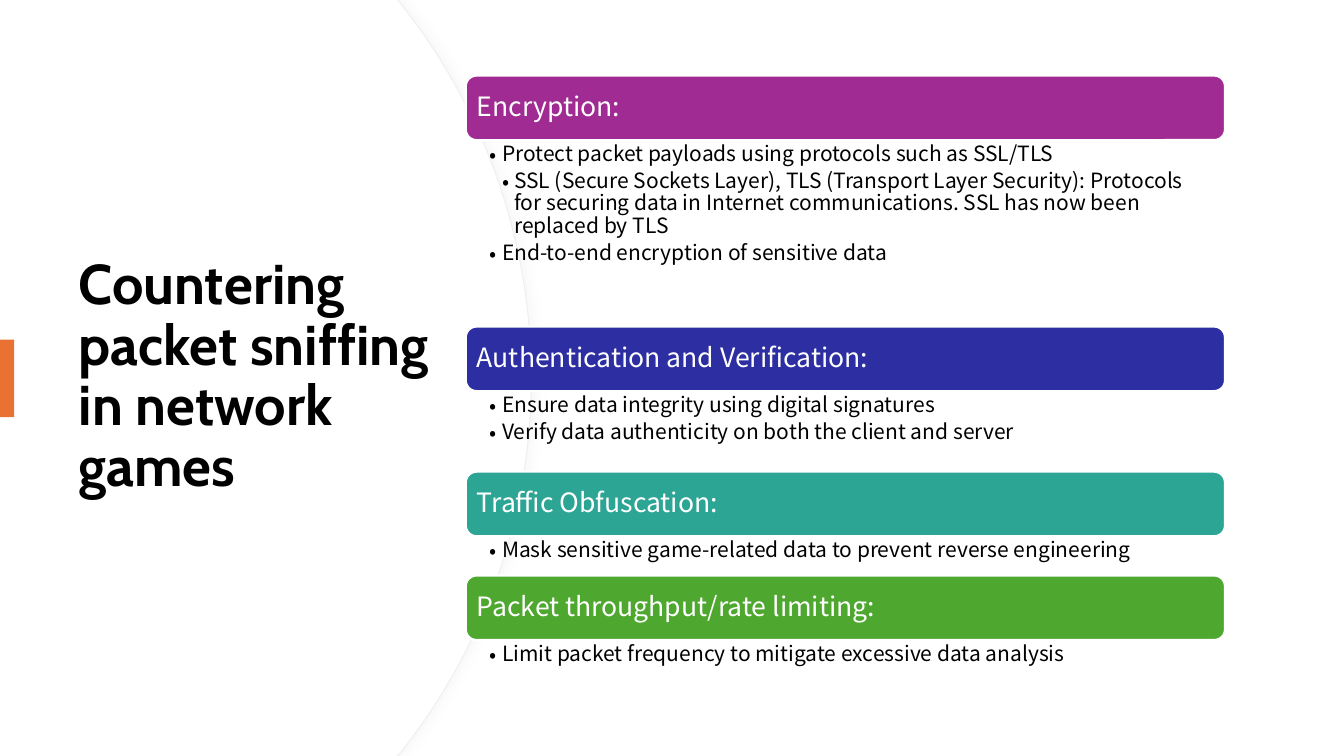
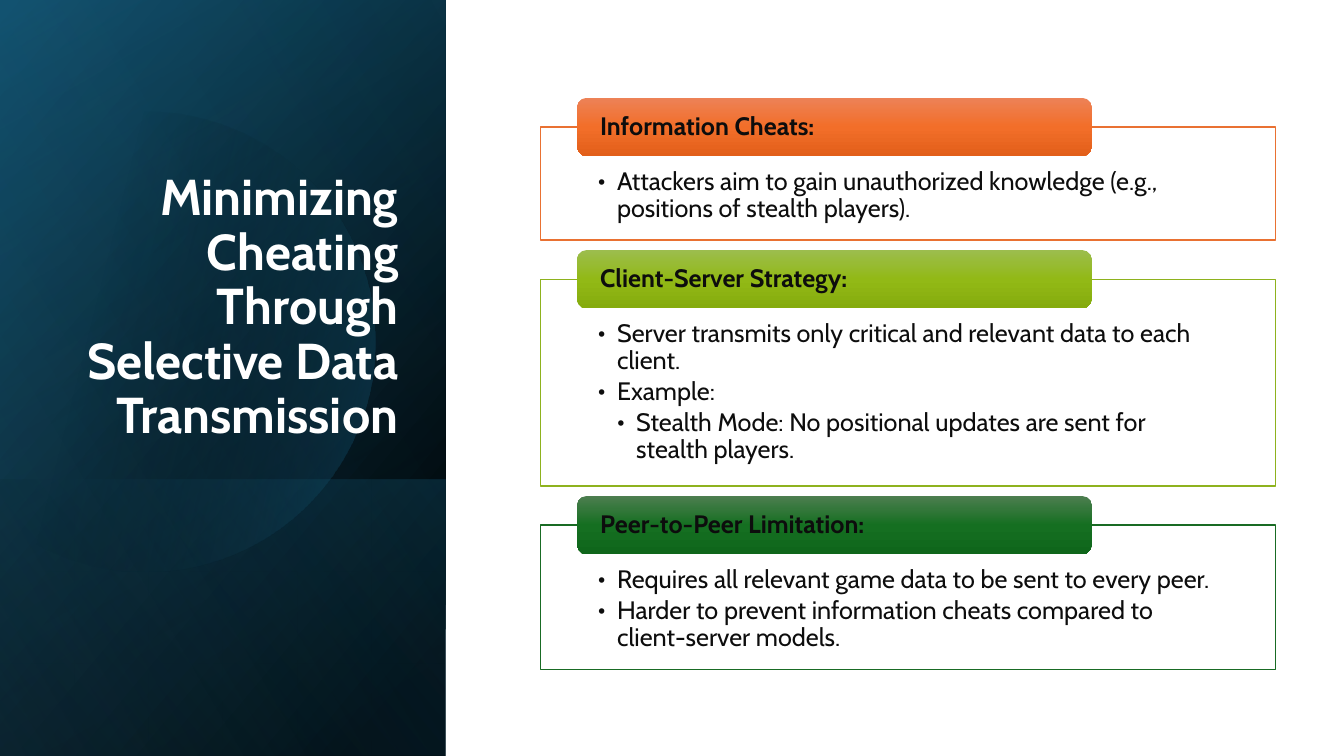
from math import acos, asin, cos, degrees, pi, sin

from pptx import Presentation
from pptx.dml.color import RGBColor
from pptx.enum.shapes import MSO_SHAPE as Geo
from pptx.enum.text import MSO_ANCHOR as Anchor, MSO_AUTO_SIZE as Auto, PP_ALIGN as Align
from pptx.oxml import parse_xml
from pptx.oxml.ns import nsdecls, qn
from pptx.util import Inches, Pt

WIDE, HIGH = 13.33, 7.5
HEAD, BODY = "Cabin", "Noto Sans CJK KR"
HUE = {
    "white": "FFFFFF", "black": "000000", "ink": "0D0D0D", "edge": "EFEFEF",
    "shade": "D9D9D9", "orange": "E97132", "purple": "A02B93", "indigo": "2C2EA2",
    "teal": "2DA594", "green": "4EA72E", "lime": "8EB21E", "pine": "196B24",
    "navy": "104862", "blue": "156082", "sky": "46B1E1",
}

# Each section: heading, colour, height of its text, [(level, text)]
GUARDS = [
    ("Encryption:", "purple", 1.85, [
        (1, "Protect packet payloads using protocols such as SSL/TLS"),
        (2, "SSL (Secure Sockets Layer), TLS (Transport Layer Security): Protocols for "
            "securing data in Internet communications. SSL has now been replaced by TLS"),
        (1, "End-to-end encryption of sensitive data")]),
    ("Authentication and Verification:", "indigo", 0.8, [
        (1, "Ensure data integrity using digital signatures"),
        (1, "Verify data authenticity on both the client and server")]),
    ("Traffic Obfuscation:", "teal", 0.39, [
        (1, "Mask sensitive game-related data to prevent reverse engineering")]),
    ("Packet throughput/rate limiting:", "green", 0.39, [
        (1, "Limit packet frequency to mitigate excessive data analysis")]),
]
# Each card: heading, edge colour, tab gradient, height, [(level, text)]
CARDS = [
    ("Information Cheats:", "orange", ("ED8257", "F26E29", "E25F1A"), 1.12, [
        (1, "Attackers aim to gain unauthorized knowledge (e.g., positions of "
            "stealth players).")]),
    ("Client-Server Strategy:", "lime", ("9CBD4E", "92B916", "85AB0D"), 2.05, [
        (1, "Server transmits only critical and relevant data to each client."),
        (1, "Example:"),
        (2, "Stealth Mode: No positional updates are sent for stealth players.")]),
    ("Peer-to-Peer Limitation:", "pine", ("4D7E50", "156F21", "0F661B"), 1.43, [
        (1, "Requires all relevant game data to be sent to every peer."),
        (1, "Harder to prevent information cheats compared to client-server models.")]),
]


def rgb(name):
    return RGBColor.from_string(HUE[name])


def paint(shape, fill=None, line=None, width=1):
    """Set a plain fill and outline, without shadow."""
    shape.shadow.inherit = False
    if fill:
        shape.fill.solid()
        shape.fill.fore_color.rgb = rgb(fill)
    else:
        shape.fill.background()
    if line:
        shape.line.color.rgb = rgb(line)
        shape.line.width = Pt(width)
    else:
        shape.line.fill.background()
    return shape


def block(slide, geo, box, *look):
    return paint(slide.shapes.add_shape(geo, *map(Inches, box)), *look)


def fade(shape, stops, angle):
    """Fill with a linear gradient of (place, hex, alpha) stops in percent."""
    marks = "".join(
        f'<a:gs pos="{at * 1000}"><a:srgbClr val="{tint}">'
        f'<a:alpha val="{alpha * 1000}"/></a:srgbClr></a:gs>'
        for at, tint, alpha in stops)
    props = shape._element.spPr
    props.replace(props.find(qn("a:noFill")), parse_xml(
        f'<a:gradFill {nsdecls("a")} rotWithShape="1"><a:gsLst>{marks}</a:gsLst>'
        f'<a:lin ang="{angle * 60000}" scaled="0"/></a:gradFill>'))


def disc(slide, mid, radius, half, corners=()):
    """Draw a circle cut at +/- half radians, closed through the corners."""
    turns = [-half, 0, half] if half < pi / 2 else [-half, -pi / 2, 0, pi / 2, half]
    dots = [(mid[0] + radius * cos(t), mid[1] + radius * sin(t)) for t in turns]
    dots = [(Inches(x), Inches(y)) for x, y in [*dots, *corners]]
    path = slide.shapes.build_freeform(*dots[0])
    path.add_line_segments(dots[1:], close=True)
    shape = path.convert_to_shape()
    sides = list(shape._element.iter(qn("a:lnTo")))
    for side, start, stop in zip(sides, turns, turns[1:]):
        first, sweep = (round(degrees(t) * 60000) for t in (start, stop - start))
        side.getparent().replace(side, parse_xml(
            f'<a:arcTo {nsdecls("a")} wR="{Inches(radius)}" hR="{Inches(radius)}" '
            f'stAng="{first}" swAng="{sweep}"/>'))
    return shape


def frame(shape, pads, anchor):
    """Return the shape's wrapping text frame with the given insets."""
    text = shape.text_frame
    text.word_wrap, text.auto_size = True, Auto.NONE
    text.vertical_anchor = anchor
    (text.margin_left, text.margin_top,
     text.margin_right, text.margin_bottom) = map(Inches, pads)
    return text


def style(para, text, face, size, tint, bold=False, after=0.0, align=Align.LEFT):
    para.text = text
    para.alignment, para.line_spacing = align, 0.9
    para.space_before, para.space_after = Pt(0), Pt(round(size * after, 2))
    font = para.font
    font.name, font.size, font.bold = face, Pt(size), bold
    font.color.rgb = rgb(tint)


def label(shape, text, pads, *look):
    style(frame(shape, pads, Anchor.MIDDLE).paragraphs[0], text, *look)


def points(shape, items, pads, step, face, *look):
    """Write (level, text) items as bullets, indented by step per level."""
    text = frame(shape, pads, Anchor.TOP)
    for i, (level, words) in enumerate(items):
        para = text.add_paragraph() if i else text.paragraphs[0]
        para.level = level
        props = para._p.get_or_add_pPr()
        props.set("marL", str(Inches(step * level)))
        props.set("indent", str(-Inches(step)))
        for mark in (f'buFont {nsdecls("a")} typeface="{face}"',
                     f'buChar {nsdecls("a")} char="•"'):
            props.append(parse_xml(f"<a:{mark}/>"))
        style(para, words, face, *look)


def title(slide, text, box, size, tint, anchor, align):
    """Place the title in front of the backdrop drawn so far."""
    shape = slide.shapes.title
    slide.shapes._spTree.append(shape._element)
    shape.left, shape.top, shape.width, shape.height = map(Inches, box)
    style(frame(shape, (0.1, 0.05, 0.1, 0.05), anchor).paragraphs[0],
          text, HEAD, size, tint, True, 0, align)


def bulge(slide):
    """Draw the white curved panel with its soft edge."""
    radius, mid = 5.97, HIGH / 2
    for shift, line in ((0, "edge"), (0.01, None)):
        shape = disc(slide, (-0.7 - shift, mid), radius, asin(mid / radius),
                     [(0, HIGH), (0, 0)])
        paint(shape, "white", line, 0.75)
        if line:
            props = shape._element.spPr
            props.replace(props.find(qn("a:effectLst")), parse_xml(
                f'<a:effectLst {nsdecls("a")}><a:outerShdw blurRad="{Pt(7)}" '
                f'dist="{Pt(3)}" dir="0" algn="l" rotWithShape="0">'
                f'<a:srgbClr val="{HUE["shade"]}"><a:alpha val="20000"/></a:srgbClr>'
                '</a:outerShdw></a:effectLst>'))


def layer(slide, box, stops, angle):
    """Lay a mirrored, quarter-turned gradient sheet over the box."""
    left, top, wide, high = box
    shape = block(slide, Geo.RECTANGLE, (left + (wide - high) / 2,
                                         top + (high - wide) / 2, high, wide))
    shape.rotation = 90
    shape._element.spPr.find(qn("a:xfrm")).set("flipH", "1")
    fade(shape, [(at, HUE[name], alpha) for at, name, alpha in stops], angle)


def night(slide, wide):
    """Draw the dark blue side panel."""
    full, foot = (0, 0, wide, HIGH), (0, 4.76, wide, HIGH - 4.76)
    layer(slide, full, [(8, "black", 100), (100, "navy", 100)], 50)
    layer(slide, full, [(0, "black", 0), (99, "blue", 46)], 30)
    layer(slide, foot, [(2, "blue", 29), (100, "black", 30)], 130)
    across, radius = 1.44, 2.28
    moon = paint(disc(slide, (across, 3.39), radius, acos(-across / radius)))
    fade(moon, [(29, HUE["black"], 0), (100, HUE["blue"], 43)], 14)
    layer(slide, full, [(0, "black", 0), (99, "sky", 11)], 120)


def stack(slide, left, top, wide):
    """Stack coloured bars, each followed by its bullets."""
    bar = 0.64
    for head, tint, high, items in GUARDS:
        shape = block(slide, Geo.ROUNDED_RECTANGLE, (left, top, wide, bar),
                      tint, "white", 1.5)
        label(shape, head, [0.08] * 4, BODY, 19, "white", False, 0.35)
        area = slide.shapes.add_textbox(*map(Inches, (left, top + bar, wide, high)))
        points(area, items, (0.24, 0.03, 0.15, 0.03), 0.12,
               BODY, 15, "black", False, 0.2)
        top += bar + high


def cards(slide, left, top, wide):
    """Stack outlined cards, each with a tab over its top edge."""
    tab, gap = 0.58, 0.39
    for head, edge, tints, high, items in CARDS:
        card = block(slide, Geo.RECTANGLE, (left, top, wide, high), "white", edge, 1)
        points(card, items, (0.57, 0.41, 0.57, 0.14), 0.19,
               HEAD, 18, "ink", False, 0.15)
        shape = block(slide, Geo.ROUNDED_RECTANGLE,
                      (left + 0.05 * wide, top - tab / 2, 0.7 * wide, tab))
        fade(shape, [(at, tint, 100) for at, tint in zip((0, 50, 100), tints)], 90)
        label(shape, head, (0.2, 0, 0.2, 0), HEAD, 18, "ink", True, 0.35)
        top += high + gap


def guard(slide):
    bulge(slide)
    title(slide, "Countering packet sniffing in network games",
          (0.68, 1.27, 3.94, 4.95), 40, "black", Anchor.MIDDLE, Align.LEFT)
    block(slide, Geo.RECTANGLE, (0, 3.37, 0.14, 0.77), "orange")
    stack(slide, 4.62, 0.75, 7.53)


def limit(slide):
    night(slide, 4.42)
    title(slide, "Minimizing Cheating Through Selective Data Transmission",
          (0.64, 1.84, 3.41, 2.62), 36, "white", Anchor.BOTTOM, Align.RIGHT)
    cards(slide, 5.36, 1.26, 7.29)


def main():
    deck = Presentation()
    deck.slide_width, deck.slide_height = Inches(WIDE), Inches(HIGH)
    for build in (guard, limit):
        build(deck.slides.add_slide(deck.slide_layouts[5]))
    deck.save("out.pptx")


if __name__ == "__main__":
    main()
